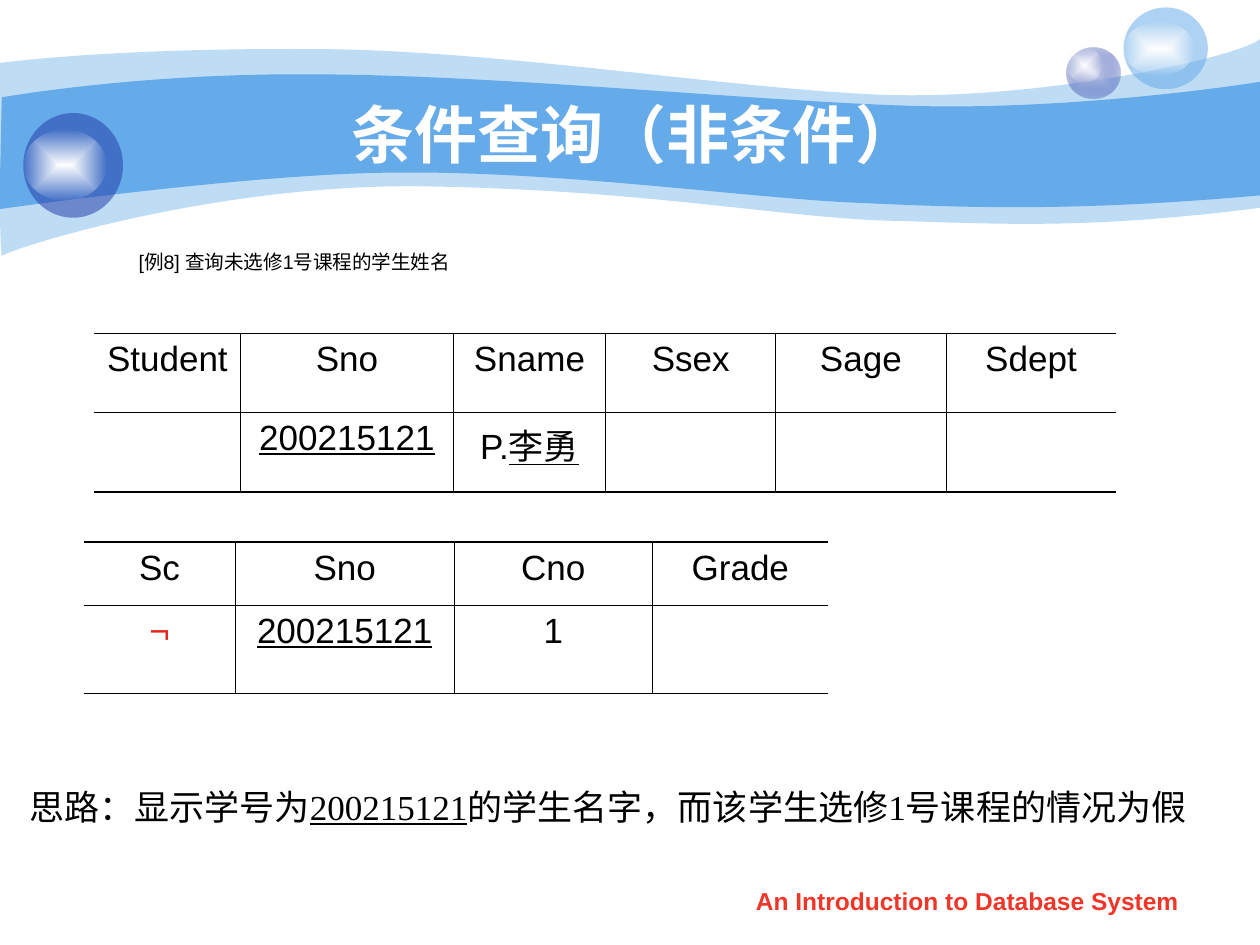
import pptx
import pptx.dml.color
import pptx.enum.shapes
import pptx.enum.text
import pptx.oxml
import pptx.oxml.ns
import pptx.util
from lxml import etree

Cm = pptx.util.Cm
Pt = pptx.util.Pt
RGBColor = pptx.dml.color.RGBColor
ALIGN = pptx.enum.text.PP_ALIGN
ANCHOR = pptx.enum.text.MSO_ANCHOR

BLACK = RGBColor(0x00, 0x00, 0x00)
WHITE = RGBColor(0xFF, 0xFF, 0xFF)
SKY = RGBColor(0x65, 0xAA, 0xE9)
NAVY = RGBColor(0x23, 0x3D, 0xA9)
LAVENDER = RGBColor(0xC7, 0xCE, 0xE9)
FOOTER_RED = RGBColor(0xF0, 0x36, 0x28)
NEGATION_RED = RGBColor(0xE0, 0x29, 0x20)

OUTER_BAND = [
    [(0, 1.27)],
    [(0.61, 1.19), (2.74, 0.97), (6.27, 0.99)],
    [(9.91, 0.99), (14.61, 1.78), (17.75, 1.91)],
    [(20.88, 2.03), (24.89, 1.19), (25.4, 0.79)],
    [(25.4, 4.19)],
    [(21.79, 4.65), (20.02, 4.5), (17.91, 4.45)],
    [(15.8, 4.39), (13.08, 3.84), (8.71, 3.76)],
    [(4.37, 3.66), (0.1, 5.05), (0.05, 5.16)],
    [(-0.03, 5.28), (0, 1.9), (0, 1.27)],
]
INNER_BAND = [
    [(0.04, 1.96)],
    [(0.08, 1.96), (2.79, 1.47), (6.3, 1.5)],
    [(9.83, 1.5), (15.14, 2.03), (18.24, 2.13)],
    [(21.36, 2.24), (24.79, 1.75), (25.4, 1.65)],
    [(25.4, 3.94)],
    [(21.67, 4.27), (19.46, 4.19), (17.32, 4.09)],
    [(15.21, 4.01), (11.35, 3.45), (8.05, 3.48)],
    [(5.16, 3.48), (-0.05, 4.22), (-0.03, 4.22)],
    [(0, 4.22), (0.03, 1.96), (0.04, 1.96)],
]


def fill_solid(shape, color, opacity=100):
    shape.fill.solid()
    shape.fill.fore_color.rgb = color
    if opacity < 100:
        for element in shape._element.spPr.xpath("./a:solidFill/a:srgbClr"):
            alpha = etree.SubElement(element, pptx.oxml.ns.qn("a:alpha"))
            alpha.set("val", str(opacity * 1000))


def fill_glow(shape, center, edge, edge_opacity):
    shape.fill.background()
    properties = shape._element.spPr
    empty_fill = properties.find(pptx.oxml.ns.qn("a:noFill"))
    gradient = pptx.oxml.parse_xml(
        f'<a:gradFill {pptx.oxml.ns.nsdecls("a")} rotWithShape="1"><a:gsLst>'
        f'<a:gs pos="0"><a:srgbClr val="{center}"/></a:gs>'
        f'<a:gs pos="100000"><a:srgbClr val="{edge}">'
        f'<a:alpha val="{edge_opacity * 1000}"/></a:srgbClr></a:gs></a:gsLst>'
        '<a:path path="rect"><a:fillToRect l="50000" t="50000" r="50000" b="50000"/>'
        '</a:path></a:gradFill>')
    properties.replace(empty_fill, gradient)


def add_band(slide, segments, opacity):
    (start,), *segments = segments
    builder = slide.shapes.build_freeform(Cm(start[0]), Cm(start[1]))
    builder.add_line_segments(
        [(Cm(x), Cm(y)) for segment in segments for x, y in segment], close=True)
    band = builder.convert_to_shape()
    lines = iter(band._element.xpath(".//a:lnTo"))
    for segment in segments:
        first, *others = [next(lines) for _ in segment]
        if others:
            curve = etree.Element(pptx.oxml.ns.qn("a:cubicBezTo"))
            first.addprevious(curve)
            for line in (first, *others):
                curve.append(line[0])
                line.getparent().remove(line)
    band.shadow.inherit = False
    band.line.fill.background()
    fill_solid(band, SKY, opacity)


def add_ellipse(group, left, top, width, height):
    ellipse = group.shapes.add_shape(
        pptx.enum.shapes.MSO_SHAPE.OVAL, Cm(left), Cm(top), Cm(width), Cm(height))
    ellipse.shadow.inherit = False
    ellipse.line.fill.background()
    return ellipse


def add_ball(slide, ball_box, highlight_box, color, center=None):
    group = slide.shapes.add_group_shape()
    ball = add_ellipse(group, *ball_box)
    if center is None:
        fill_solid(ball, color, 53)
    else:
        fill_glow(ball, center, color, 31)
    fill_glow(add_ellipse(group, *highlight_box), WHITE, WHITE, 0)


def set_font(paragraph, size, color=BLACK, name="Arial", bold=False):
    font = paragraph.font
    font.size = Pt(size)
    font.name = name
    font.bold = bold
    font.color.rgb = color


def add_runs(paragraph, runs):
    for text, underlined in runs:
        run = paragraph.add_run()
        run.text = text
        if underlined:
            run.font.underline = True


def place_placeholder(slide, placeholder, box, text, align):
    slide.shapes._spTree.append(placeholder._element)
    placeholder.left, placeholder.top, placeholder.width, placeholder.height = map(Cm, box)
    frame = placeholder.text_frame
    frame.text = text
    frame.auto_size = pptx.enum.text.MSO_AUTO_SIZE.NONE
    paragraph = frame.paragraphs[0]
    paragraph.alignment = align
    paragraph.space_before = Pt(0)
    return paragraph


def add_title(slide):
    title = slide.shapes.title
    paragraph = place_placeholder(
        slide, title, (2.54, 1.9, 20.52, 1.58), "条件查询（非条件）", ALIGN.CENTER)
    title.text_frame.vertical_anchor = ANCHOR.MIDDLE
    set_font(paragraph, 36, WHITE, bold=True)


def add_example(slide):
    paragraph = place_placeholder(
        slide, slide.placeholders[1], (1.27, 5.08, 22.63, 2.64),
        "[例8] 查询未选修1号课程的学生姓名", ALIGN.JUSTIFY)
    paragraph.line_spacing = 0.6
    properties = paragraph._p.get_or_add_pPr()
    properties.set("marL", str(Cm(2.06)))
    properties.set("indent", str(Cm(-0.79)))
    etree.SubElement(properties, pptx.oxml.ns.qn("a:buNone"))
    set_font(paragraph, 11.2)


def add_text(slide, box, runs, wrap):
    frame = slide.shapes.add_textbox(*map(Cm, box)).text_frame
    frame.word_wrap = wrap
    paragraph = frame.paragraphs[0]
    add_runs(paragraph, runs)
    return paragraph


def set_borders(cell, widths):
    properties = cell._tc.get_or_add_tcPr()
    for side, width in zip("LRTB", widths):
        fill = f'<a:solidFill><a:srgbClr val="{BLACK}"/></a:solidFill>' if width else "<a:noFill/>"
        properties.append(pptx.oxml.parse_xml(
            f'<a:ln{side} {pptx.oxml.ns.nsdecls("a")} w="{Pt(width)}">{fill}</a:ln{side}>'))


def add_query_table(slide, left, top, column_widths, row_heights, rows):
    frame = slide.shapes.add_table(
        len(rows), len(column_widths), Cm(left), Cm(top),
        Cm(sum(column_widths)), Cm(sum(row_heights)))
    table = frame.table
    table.first_row = False
    table.horz_banding = False
    for column, width in zip(table.columns, column_widths):
        column.width = Cm(width)
    for row, height in zip(table.rows, row_heights):
        row.height = Cm(height)
    last_row, last_column = len(rows) - 1, len(column_widths) - 1
    for row_index, row in enumerate(rows):
        for column_index, runs in enumerate(row):
            cell = table.cell(row_index, column_index)
            set_borders(cell, (
                0.45 if column_index else 0,
                0.45 if column_index < last_column else 0,
                0.45 if row_index else 1.08,
                0.45 if row_index < last_row else 1.08))
            cell.fill.background()
            paragraph = cell.text_frame.paragraphs[0]
            paragraph.alignment = ALIGN.CENTER
            add_runs(paragraph, runs)
            set_font(paragraph, 20, NEGATION_RED if runs == [("¬", False)] else BLACK)


def header(*names):
    return [[(name, False)] for name in names]


def main():
    presentation = pptx.Presentation()
    presentation.slide_width = Cm(25.4)
    presentation.slide_height = Cm(19.05)
    slide = presentation.slides.add_slide(presentation.slide_layouts[1])
    student_number = ("200215121", True)
    add_band(slide, OUTER_BAND, 41)
    add_band(slide, INNER_BAND, 100)
    add_ball(slide, (21.51, 0.97, 1.07, 1.02), (21.51, 0.97, 0.71, 0.69), NAVY, LAVENDER)
    add_ball(slide, (22.65, 0.15, 1.7, 1.65), (22.65, 0.43, 1.42, 1.09), SKY)
    add_ball(slide, (0.47, 2.28, 2.01, 2.11), (0.47, 2.62, 1.68, 1.42), NAVY)
    footer = add_text(slide, (14.5, 17.73, 10.01, 0.89),
                      [("An Introduction to Database System", False)], True)
    footer.alignment = ALIGN.CENTER
    set_font(footer, 14, FOOTER_RED, bold=True)
    add_title(slide)
    add_example(slide)
    add_query_table(
        slide, 1.9, 6.72, (2.95, 4.29, 3.07, 3.43, 3.43, 3.43), (1.59, 1.61),
        [header("Student", "Sno", "Sname", "Ssex", "Sage", "Sdept"),
         [[], [student_number], [("P.", False), ("李勇", True)], [], [], []]])
    idea = add_text(slide, (0.34, 15.54, 24.51, 1.27), [
        ("思路：显示学号为", False), student_number,
        ("的学生名字，而该学生选修1号课程的情况为假", False)], False)
    idea.line_spacing = 1.2
    set_font(idea, 20, name="Times New Roman")
    add_query_table(
        slide, 1.69, 10.93, (3.05, 4.42, 3.99, 3.55), (1.27, 1.78),
        [header("Sc", "Sno", "Cno", "Grade"),
         [[("¬", False)], [student_number], [("1", False)], []]])
    presentation.save("out.pptx")


if __name__ == "__main__":
    main()
